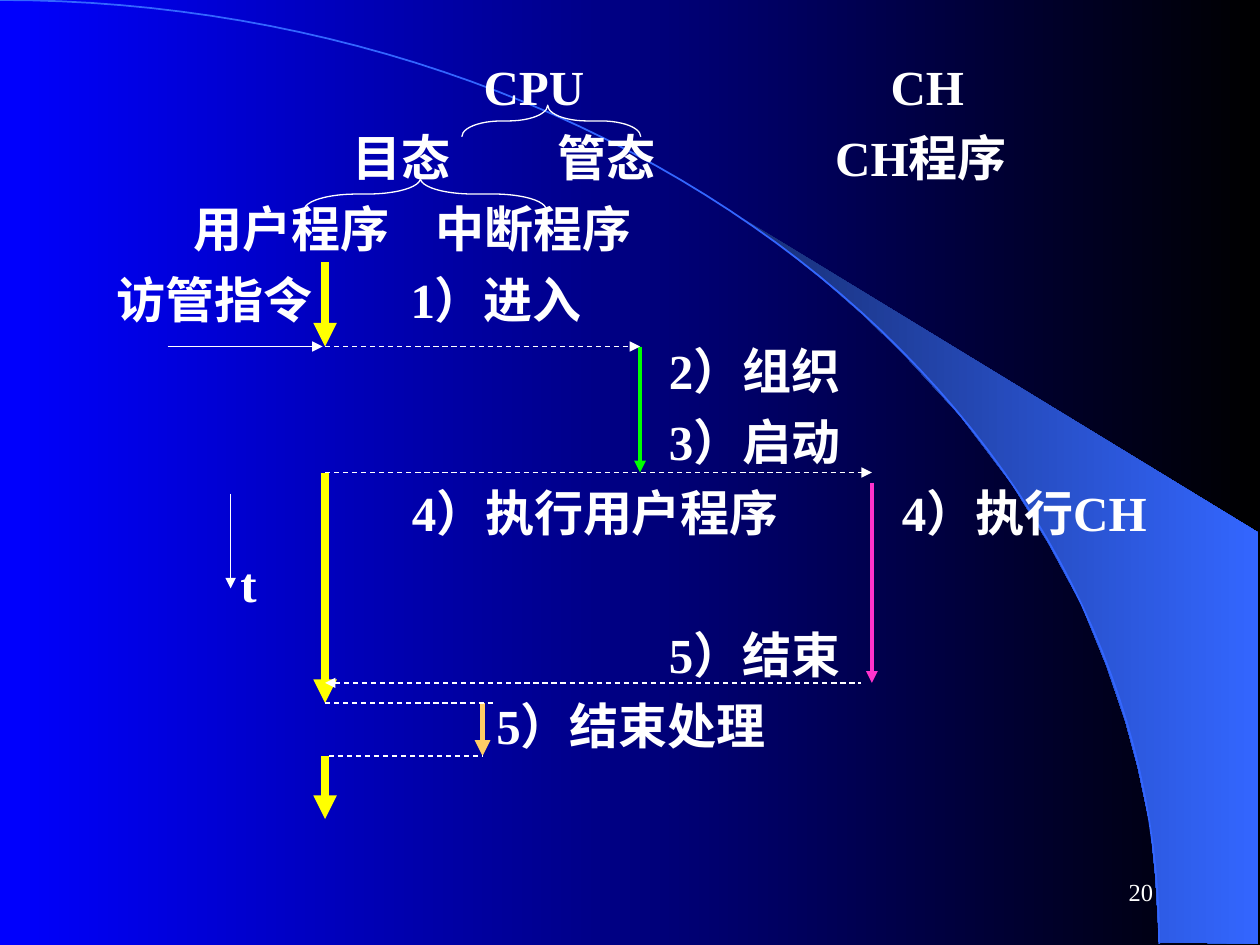
import math

from lxml import etree
from pptx import Presentation
from pptx.dml.color import RGBColor
from pptx.enum.dml import MSO_LINE
from pptx.enum.shapes import MSO_CONNECTOR, MSO_SHAPE
from pptx.enum.text import MSO_ANCHOR, PP_ALIGN
from pptx.oxml.ns import qn
from pptx.util import Cm, Pt

STRAIGHT = MSO_CONNECTOR.STRAIGHT
LEFT_BRACE = MSO_SHAPE.LEFT_BRACE
DASH = MSO_LINE.DASH
MIDDLE, TOP = MSO_ANCHOR.MIDDLE, MSO_ANCHOR.TOP
LEFT, RIGHT = PP_ALIGN.LEFT, PP_ALIGN.RIGHT

BLACK = RGBColor(0x00, 0x00, 0x00)
BLUE = RGBColor(0x00, 0x00, 0xFF)
NAVY = RGBColor(0x18, 0x2F, 0x76)
SKY = RGBColor(0x33, 0x66, 0xFF)
WHITE = RGBColor(0xFF, 0xFF, 0xFF)
YELLOW = RGBColor(0xFF, 0xFF, 0x00)
GREEN = RGBColor(0x00, 0xFF, 0x00)
ORANGE = RGBColor(0xFF, 0xCC, 0x66)
PINK = RGBColor(0xFF, 0x33, 0xCC)

FONT = "Times New Roman"
GRID_CM = 2.54
ARC_WIDTH, ARC_HEIGHT, ARC_STEPS = 9.2, 7.49, 60

WEDGE = [(9.2, 7.48), (9.99, 7.49), (9.99, 4.23), (5.89, 1.73), (6.24, 1.99),
         (6.53, 2.22), (6.85, 2.5), (7.16, 2.8), (7.62, 3.3), (8.03, 3.84),
         (8.32, 4.31), (8.58, 4.79), (8.78, 5.28), (8.93, 5.72), (9.03, 6.09),
         (9.13, 6.56), (9.17, 6.96)]

# Each row lists its labels with their tab positions in grid units.
ROWS = [
    [(2.99, "CPU"), (6.22, "CH")],
    [(1.95, "目态"), (3.58, "管态"), (5.78, "CH程序")],
    [(0.69, "用户程序"), (2.61, "中断程序")],
    [(0.08, "访管指令"), (2.41, "1）进入")],
    [(4.46, "2）组织")],
    [(4.46, "3）启动")],
    [(2.42, "4）执行用户程序"), (6.31, "4）执行CH")],
    [(1.06, "t")],
    [(4.46, "5）结束")],
    [(3.09, "5）结束处理")],
]

USER_X, SUPERVISOR_X, CHANNEL_X, HANDLER_X = 2.58, 5.08, 6.92, 3.83
CALL_Y, START_Y, END_Y, HANDLE_Y, RESUME_Y = 2.75, 3.75, 5.42, 5.58, 6

# Start, end, colour, width in points, arrowhead element
SOLID_ARROWS = [
    ((USER_X, 2.08), (USER_X, CALL_Y), YELLOW, 4.5),
    ((1.33, CALL_Y), (2.56, CALL_Y), WHITE, 0.75),
    ((SUPERVISOR_X, CALL_Y), (SUPERVISOR_X, START_Y), GREEN, 2.25),
    ((USER_X, START_Y), (USER_X, HANDLE_Y), YELLOW, 4.5),
    ((HANDLER_X, HANDLE_Y), (HANDLER_X, RESUME_Y), ORANGE, 3),
    ((USER_X, RESUME_Y), (USER_X, 6.5), YELLOW, 4.5),
    ((1.83, 3.92), (1.83, 4.67), WHITE, 0.75),
    ((CHANNEL_X, 3.83), (CHANNEL_X, END_Y), PINK, 2.25),
]
DASHED_LINES = [
    ((USER_X, CALL_Y), (SUPERVISOR_X, CALL_Y), "a:tailEnd"),
    ((USER_X, START_Y), (CHANNEL_X, START_Y), "a:tailEnd"),
    ((USER_X, END_Y), (6.83, END_Y), "a:headEnd"),
    ((USER_X, HANDLE_Y), (3.92, HANDLE_Y), None),
    ((2.61, RESUME_Y), (HANDLER_X, RESUME_Y), None),
]


def grid(value):
    """Turn grid units into a length."""
    return Cm(value * GRID_CM)


def set_gradient(fill, colors):
    fill.gradient()
    fill.gradient_angle = 0
    for stop, color in zip(fill.gradient_stops, colors):
        stop.color.rgb = color


def add_outline(page, points, closed):
    builder = page.shapes.build_freeform(
        *(grid(value) for value in points[0]), scale=1.0)
    builder.add_line_segments(
        [(grid(x), grid(y)) for x, y in points[1:]], close=closed)
    outline = builder.convert_to_shape()
    outline.shadow.inherit = False
    return outline


def add_backdrop(page):
    set_gradient(page.background.fill, (BLUE, BLACK))
    wedge = add_outline(page, WEDGE, True)
    set_gradient(wedge.fill, (NAVY, SKY))
    wedge.line.fill.background()

    angles = [math.pi / 2 * step / ARC_STEPS for step in range(ARC_STEPS + 1)]
    arc = add_outline(page, [(ARC_WIDTH * math.sin(angle),
                              ARC_HEIGHT * (1 - math.cos(angle)))
                             for angle in angles], False)
    arc.fill.background()
    arc.line.color.rgb = SKY
    arc.line.width = Pt(1)


def add_box(page, place, anchor):
    box = page.shapes.add_textbox(*(grid(value) for value in place))
    frame = box.text_frame
    frame.word_wrap = True
    frame.vertical_anchor = anchor
    return frame


def write_para(para, text, size, bold, align):
    para.alignment = align
    span = para.add_run()
    span.text = text
    formats = {"name": FONT, "size": Pt(size), "bold": bold}
    for name, value in formats.items():
        setattr(span.font, name, value)
    span.font.color.rgb = WHITE


def set_tabs(para, positions):
    tabs = etree.SubElement(para._p.get_or_add_pPr(), qn("a:tabLst"))
    for position in positions:
        etree.SubElement(tabs, qn("a:tab"), pos=str(grid(position)), algn="l")


def add_rows(page):
    frame = add_box(page, (0.75, 0.33, 8.75, 6.83), TOP)
    frame.margin_top = Cm(0.3)
    for index, row in enumerate(ROWS):
        para = frame.add_paragraph() if index else frame.paragraphs[0]
        set_tabs(para, [position for position, label in row])
        para.line_spacing = Pt(33.6)
        para.space_before = Pt(7 if index else 0)
        text = "".join("\t" + label for position, label in row)
        write_para(para, text, 28, True, LEFT)


def add_brace(page, place, curve):
    brace = page.shapes.add_shape(LEFT_BRACE, *(grid(value) for value in place))
    brace.shadow.inherit = False
    brace.rotation = 90
    brace.adjustments[0] = curve
    brace.adjustments[1] = 0.52
    brace.fill.background()
    brace.line.color.rgb = WHITE
    brace.line.width = Pt(0.75)


def add_line(page, start, end, color, width, arrowhead=None, dash=None):
    connector = page.shapes.add_connector(
        STRAIGHT, *(grid(value) for value in start + end))
    line = connector.line
    line.color.rgb = color
    line.width = Pt(width)
    if dash:
        line.dash_style = dash
    if arrowhead:
        etree.SubElement(line._get_or_add_ln(), qn(arrowhead), type="triangle")
    etree.SubElement(connector._element.spPr, qn("a:effectLst"))


def main():
    deck = Presentation()
    deck.slide_width, deck.slide_height = grid(10), grid(7.5)
    page = deck.slides.add_slide(deck.slide_layouts[6])
    add_backdrop(page)
    number = add_box(page, (7.17, 6.83, 2.08, 0.5), MIDDLE)
    write_para(number.paragraphs[0], "20", 14, False, RIGHT)
    add_rows(page)
    add_brace(page, (4.25, 0.25, 0.25, 1.42), 1.25)
    add_brace(page, (3.25, 0.58, 0.25, 1.92), 1.67)
    for arrow in SOLID_ARROWS:
        add_line(page, *arrow, arrowhead="a:tailEnd")
    for start, end, arrowhead in DASHED_LINES:
        add_line(page, start, end, WHITE, 0.75, arrowhead, DASH)
    deck.save("out.pptx")


if __name__ == "__main__":
    main()
